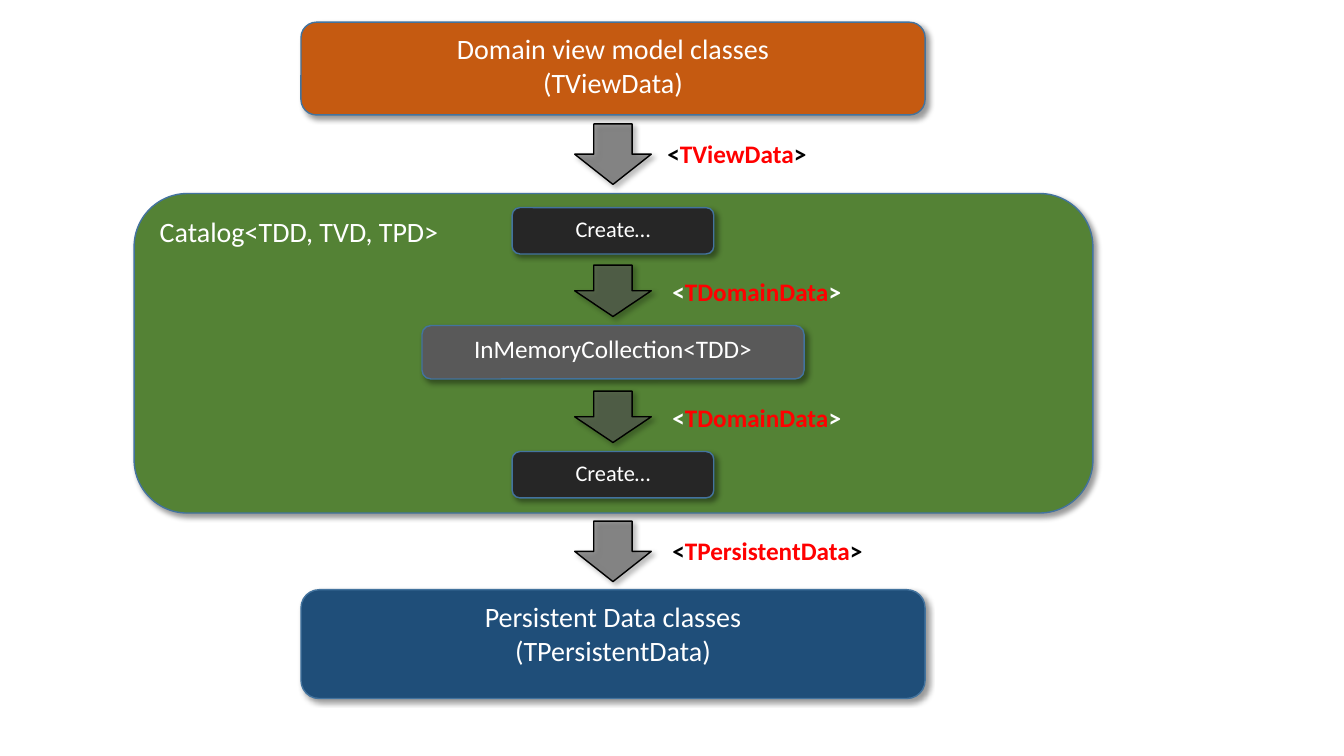
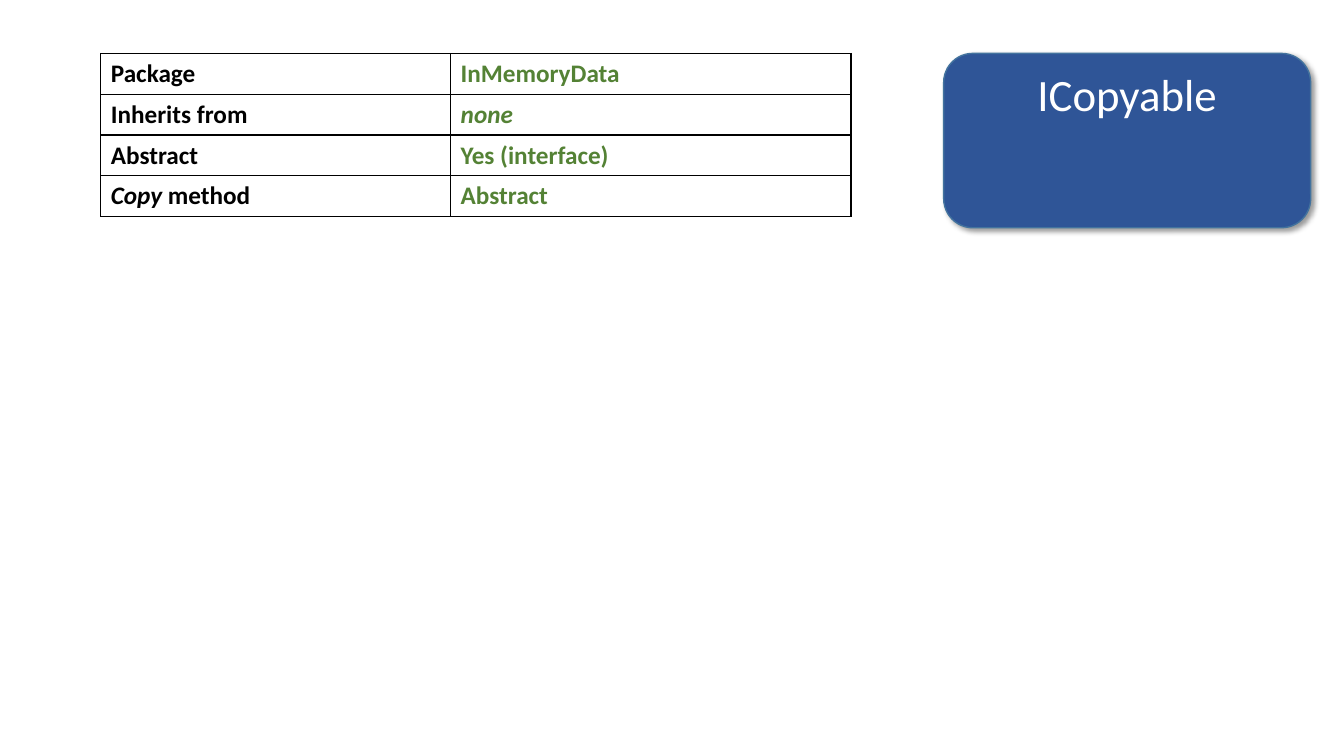
import lxml.etree
import pptx
import pptx.dml.color
import pptx.enum.shapes
import pptx.enum.text
import pptx.oxml.ns
import pptx.util

Inches = pptx.util.Inches
Pt = pptx.util.Pt
qn = pptx.oxml.ns.qn
SHAPES = pptx.enum.shapes.MSO_SHAPE
ALIGN = pptx.enum.text.PP_ALIGN
color = pptx.dml.color.RGBColor.from_string

FONT = "Calibri"
WHITE = "FFFFFF"
BLACK = "000000"
RED = "FF0000"
GREEN = "548235"
GRAY = "595959"
CHARCOAL = "262626"
OUTLINE = "43739E"


def add_shape(slide, kind, left, top, width, height, fill, outline=OUTLINE):
    shape = slide.shapes.add_shape(kind, Inches(left), Inches(top), Inches(width), Inches(height))
    shape.fill.solid()
    shape.fill.fore_color.rgb = color(fill)
    shape.line.color.rgb = color(outline)
    shape.line.width = Pt(1)
    shape.shadow.inherit = False
    effects = shape.element.spPr.find(qn("a:effectLst"))
    shadow = lxml.etree.SubElement(effects, qn("a:outerShdw"), blurRad=str(Pt(4)), dist=str(Pt(3)),
                                   dir="2700000", algn="tl", rotWithShape="0")
    shade = lxml.etree.SubElement(shadow, qn("a:srgbClr"), val=BLACK)
    lxml.etree.SubElement(shade, qn("a:alpha"), val="40000")
    return shape


def add_box(slide, left, top, width, height, fill, lines, size, align=ALIGN.CENTER):
    shape = add_shape(slide, SHAPES.ROUNDED_RECTANGLE, left, top, width, height, fill)
    frame = shape.text_frame
    frame.vertical_anchor = pptx.enum.text.MSO_ANCHOR.TOP
    frame.text = "\n".join(lines)
    for paragraph in frame.paragraphs:
        paragraph.alignment = align
        paragraph.font.name = FONT
        paragraph.font.size = Pt(size)
        paragraph.font.color.rgb = color(WHITE)


presentation = pptx.Presentation()
presentation.slide_width = Inches(13.33)
presentation.slide_height = Inches(7.5)
blank_layout = presentation.slide_layouts[6]

slide = presentation.slides.add_slide(blank_layout)
center = 6.08
add_box(slide, 1.33, 1.92, 9.51, 3.17, GREEN, ["Catalog<TDD, TVD, TPD>"], 20, ALIGN.LEFT)

boxes = [
    (0.22, 6.19, 0.92, "C55A11", ["Domain view model classes", "(TViewData)"], 20),
    (2.06, 2, 0.46, CHARCOAL, ["Create…"], 16),
    (3.23, 3.79, 0.53, GRAY, ["InMemoryCollection<TDD>"], 18),
    (4.48, 2, 0.46, CHARCOAL, ["Create…"], 16),
    (5.85, 6.19, 1.08, "1F4E79", ["Persistent Data classes", "(TPersistentData)"], 20),
]
for top, width, height, fill, lines, size in boxes:
    add_box(slide, center - width / 2, top, width, height, fill, lines, size)

arrow_width = 0.76
arrows = [
    (1.23, 0.6, "TViewData", 6.52, 1.32, 1.59, BLACK),
    (2.63, 0.51, "TDomainData", 6.57, 2.69, 1.89, WHITE),
    (3.88, 0.51, "TDomainData", 6.57, 3.94, 1.89, WHITE),
    (5.17, 0.6, "TPersistentData", 6.57, 5.26, 2.1, BLACK),
]
for top, height, type_name, label_left, label_top, label_width, bracket_color in arrows:
    arrow = add_shape(slide, SHAPES.DOWN_ARROW, center - arrow_width / 2, top, arrow_width, height,
                      GRAY, BLACK)
    arrow_color = arrow.element.spPr.find(qn("a:solidFill"))[0]
    lxml.etree.SubElement(arrow_color, qn("a:alpha"), val="60000")

    label = slide.shapes.add_textbox(Inches(label_left), Inches(label_top), Inches(label_width), Inches(0.4))
    label.text_frame.word_wrap = False
    label.text_frame.auto_size = pptx.enum.text.MSO_AUTO_SIZE.SHAPE_TO_FIT_TEXT
    paragraph = label.text_frame.paragraphs[0]
    paragraph.font.name = FONT
    paragraph.font.size = Pt(18)
    paragraph.font.bold = True
    for text, run_color in [("<", bracket_color), (type_name, RED), (">", bracket_color)]:
        run = paragraph.add_run()
        run.text = text
        run.font.color.rgb = color(run_color)

slide = presentation.slides.add_slide(blank_layout)
add_box(slide, 9.36, 0.53, 3.64, 1.73, "2F5597", ["ICopyable"], 32)

rows = [
    ([("Package", False)], [("InMemoryData", False)]),
    ([("Inherits from", False)], [("none", True)]),
    ([("Abstract", False)], [("Yes (interface)", False)]),
    ([("Copy", True), (" method", False)], [("Abstract", False)]),
]
column_widths = [3.47, 3.97]
row_height = 0.405
table = slide.shapes.add_table(len(rows), len(column_widths), Inches(1), Inches(0.53),
                               Inches(sum(column_widths)), Inches(row_height * len(rows))).table
table.first_row = False
table.horz_banding = False
for column, width in zip(table.columns, column_widths):
    column.width = Inches(width)

for row_index, row in enumerate(rows):
    table.rows[row_index].height = Inches(row_height)
    for column_index, runs in enumerate(row):
        cell = table.cell(row_index, column_index)
        properties = cell._tc.get_or_add_tcPr()
        for side in ("a:lnL", "a:lnR", "a:lnT", "a:lnB"):
            border = lxml.etree.SubElement(properties, qn(side), w=str(Pt(1)))
            border_fill = lxml.etree.SubElement(border, qn("a:solidFill"))
            lxml.etree.SubElement(border_fill, qn("a:srgbClr"), val=BLACK)
        cell.fill.background()
        paragraph = cell.text_frame.paragraphs[0]
        paragraph.font.name = FONT
        paragraph.font.size = Pt(18)
        paragraph.font.bold = True
        paragraph.font.color.rgb = color((BLACK, GREEN)[column_index])
        for text, italic in runs:
            run = paragraph.add_run()
            run.text = text
            run.font.italic = italic

presentation.save("out.pptx")
